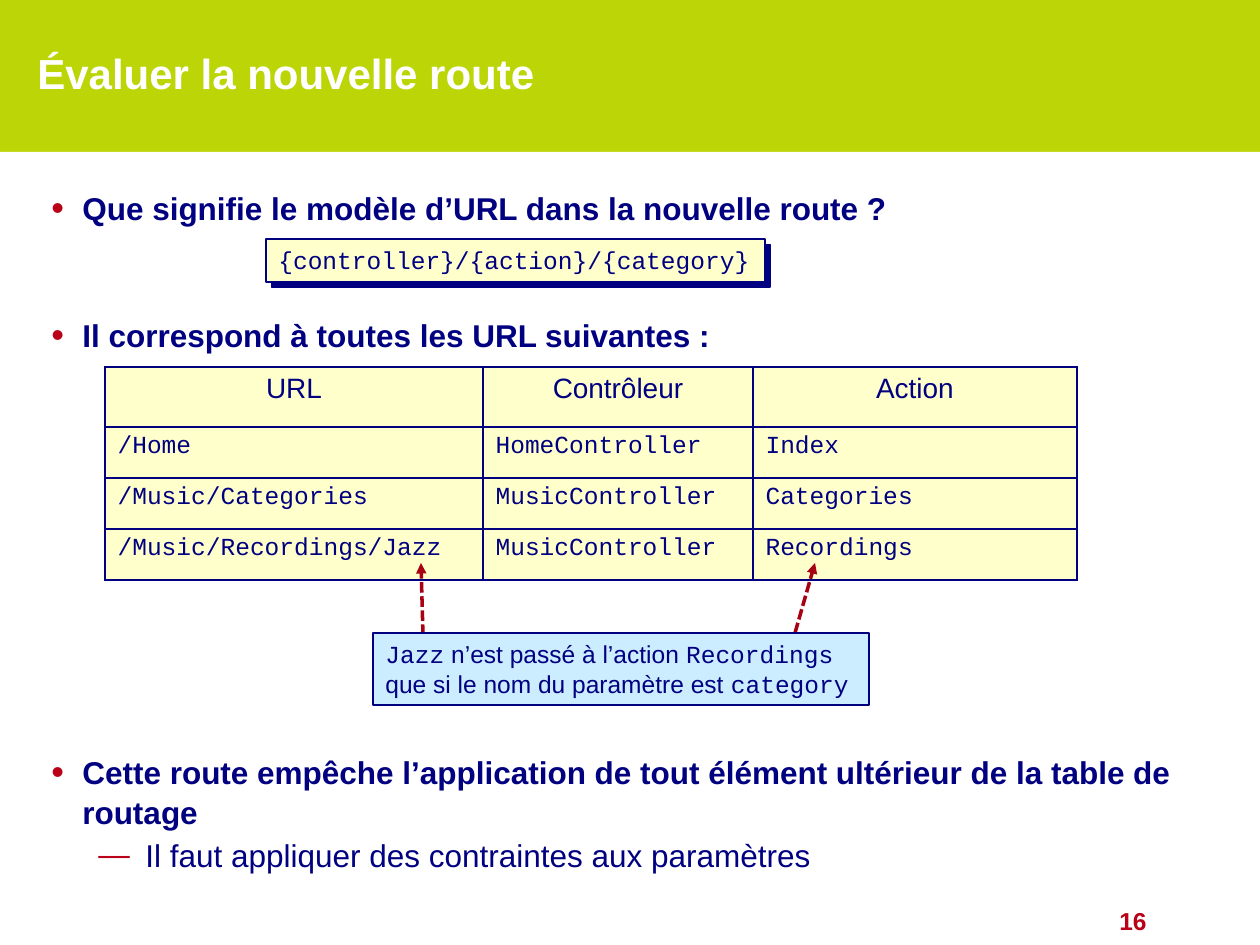
import pptx
import pptx.util
import pptx.dml.color
import pptx.enum.dml
import pptx.enum.shapes
import pptx.enum.text
import pptx.oxml
import pptx.oxml.ns

HUES = {"lime": "BCD507", "white": "FFFFFF", "navy": "000080", "red": "B90117",
        "dark": "A70114", "cream": "FFFFCC", "sky": "CCECFF", "black": "000000"}
SANS, MONO = "Arial", "Courier New"
ALIGN = pptx.enum.text.PP_ALIGN
ANCHOR = pptx.enum.text.MSO_ANCHOR
NS = pptx.oxml.ns.nsdecls("a")


def px(num):
    return pptx.util.Emu(round(num * 914400 / 126))


def rgb(name):
    return pptx.dml.color.RGBColor.from_string(HUES[name])


def add_xml(node, text):
    node.append(pptx.oxml.parse_xml(text.replace(" ", f" {NS} ", 1)))


def shade(name, dist):
    return (f'<a:effectLst ><a:outerShdw dist="{dist}" dir="2700000" algn="ctr" rotWithShape="0">'
            f'<a:srgbClr val="{HUES[name]}"/></a:outerShdw></a:effectLst>')


def add_run(para, text, size, font=SANS, hue="navy", bold=False):
    run = para.add_run()
    run.text = text
    run.font.size = pptx.util.Pt(size)
    run.font.name = font
    run.font.bold = bold
    run.font.color.rgb = rgb(hue)
    return run


def text_box(slide, box, anchor=ANCHOR.TOP):
    frame = slide.shapes.add_textbox(*map(px, box)).text_frame
    frame.word_wrap = True
    frame.vertical_anchor = anchor
    return frame


def panel(slide, box, hue, edge=None):
    kind = pptx.enum.shapes.MSO_SHAPE.RECTANGLE
    shape = slide.shapes.add_shape(kind, *map(px, box))
    shape.shadow.inherit = False
    shape.fill.solid()
    shape.fill.fore_color.rgb = rgb(hue)
    if edge:
        shape.line.color.rgb = rgb(edge)
        shape.line.width = pptx.util.Pt(0.75)
    else:
        shape.line.fill.background()
    return shape


def label(slide, box, hue, lines):
    shape = panel(slide, box, hue, "navy")
    frame = shape.text_frame
    frame.word_wrap = False
    frame.vertical_anchor = ANCHOR.TOP
    for idx, line in enumerate(lines):
        para = frame.add_paragraph() if idx else frame.paragraphs[0]
        para.alignment = ALIGN.LEFT
        for text, font in line:
            add_run(para, text, 14, font)
    return shape


def title(slide, box):
    frame = text_box(slide, box, ANCHOR.MIDDLE)
    run = add_run(frame.paragraphs[0], "Évaluer la nouvelle route", 24, SANS, "white", True)
    fill = run.font._element.find(pptx.oxml.ns.qn("a:solidFill"))
    fill.addnext(pptx.oxml.parse_xml(shade("black", 38100).replace(" ", f" {NS} ", 1)))


def number(slide, box):
    para = text_box(slide, box).paragraphs[0]
    para.alignment = ALIGN.RIGHT
    add_run(para, "16", 14, SANS, "red", True)


def body(slide, box):
    points = [
        ("Que signifie le modèle d’URL dans la nouvelle route ?", 0, 0),
        ("Il correspond à toutes les URL suivantes :", 0, 50),
        ("Cette route empêche l’application de tout élément ultérieur de la table de routage", 0, 227),
        ("Il faut appliquer des contraintes aux paramètres", 1, 2),
    ]
    styles = [(31, 31, "•", 115), (94, 47, "—", 100)]
    frame = text_box(slide, box)
    for idx, (text, level, gap) in enumerate(points):
        para = frame.add_paragraph() if idx else frame.paragraphs[0]
        para.level = level
        para.line_spacing = 1.05
        para.space_before = pptx.util.Pt(gap)
        left, hang, mark, size = styles[level]
        props = para._p.get_or_add_pPr()
        props.set("marL", str(px(left)))
        props.set("indent", str(-px(hang)))
        add_xml(props, f'<a:buClr ><a:srgbClr val="{HUES["red"]}"/></a:buClr>')
        add_xml(props, f'<a:buSzPct val="{size * 1000}"/>')
        add_xml(props, f'<a:buFont typeface="{SANS}"/>')
        add_xml(props, f'<a:buChar char="{mark}"/>')
        add_run(para, text, 18, bold=level == 0)


def border(cell):
    props = cell._tc.get_or_add_tcPr()
    for idx, side in enumerate(("lnL", "lnR", "lnT", "lnB")):
        line = pptx.oxml.parse_xml(
            f'<a:{side} {NS} w="12700"><a:solidFill><a:srgbClr val="{HUES["navy"]}"/>'
            f'</a:solidFill></a:{side}>')
        props.insert(idx, line)


def routes(slide, box):
    rows = [("URL", "Contrôleur", "Action"),
            ("/Home", "HomeController", "Index"),
            ("/Music/Categories", "MusicController", "Categories"),
            ("/Music/Recordings/Jazz", "MusicController", "Recordings")]
    table = slide.shapes.add_table(4, 3, *map(px, box)).table
    for col, width in zip(table.columns, (378, 270, 324)):
        col.width = px(width)
    for idx, row in enumerate(rows):
        table.rows[idx].height = px(51 if idx else 60)
        for spot, text in enumerate(row):
            cell = table.cell(idx, spot)
            cell.fill.solid()
            cell.fill.fore_color.rgb = rgb("cream")
            border(cell)
            para = cell.text_frame.paragraphs[0]
            para.alignment = ALIGN.LEFT if idx else ALIGN.CENTER
            add_run(para, text, 14 if idx else 16, MONO if idx else SANS)


def arrow(slide, ends):
    kind = pptx.enum.shapes.MSO_CONNECTOR.STRAIGHT
    link = slide.shapes.add_connector(kind, *map(px, ends))
    link.line.color.rgb = rgb("dark")
    link.line.width = pptx.util.Pt(2)
    link.line.dash_style = pptx.enum.dml.MSO_LINE.SQUARE_DOT
    add_xml(link.line._get_or_add_ln(), '<a:tailEnd type="triangle"/>')
    add_xml(link._element.spPr, '<a:effectLst />')


def note(slide, box):
    left, top = box[:2]
    arrow(slide, (left + 50, top + 2, left + 48, top - 70))
    arrow(slide, (left + 422, top, left + 442, top - 70))
    label(slide, box, "sky", [
        [("Jazz", MONO), (" n’est passé à l’action ", SANS), ("Recordings", MONO)],
        [("que si le nom du paramètre est ", SANS), ("category", MONO)]])


def pattern(slide, box):
    shape = label(slide, box, "cream", [[("{controller}/{action}/{category}", MONO)]])
    props = shape._element.spPr
    props.remove(props.find(pptx.oxml.ns.qn("a:effectLst")))
    add_xml(props, shade("navy", 53340))


def main():
    deck = pptx.Presentation()
    deck.slide_width, deck.slide_height = px(1260), px(945)
    slide = deck.slides.add_slide(deck.slide_layouts[6])
    slide.background.fill.solid()
    slide.background.fill.fore_color.rgb = rgb("lime")
    panel(slide, (0, 152, 1260, 793), "white")
    number(slide, (960, 900, 199, 42))
    title(slide, (25, 23, 1074, 100))
    body(slide, (39, 181, 1184, 697))
    pattern(slide, (266, 239, 499, 43))
    routes(slide, (105, 367, 972, 213))
    note(slide, (373, 633, 496, 72))
    deck.save("out.pptx")


if __name__ == "__main__":
    main()
